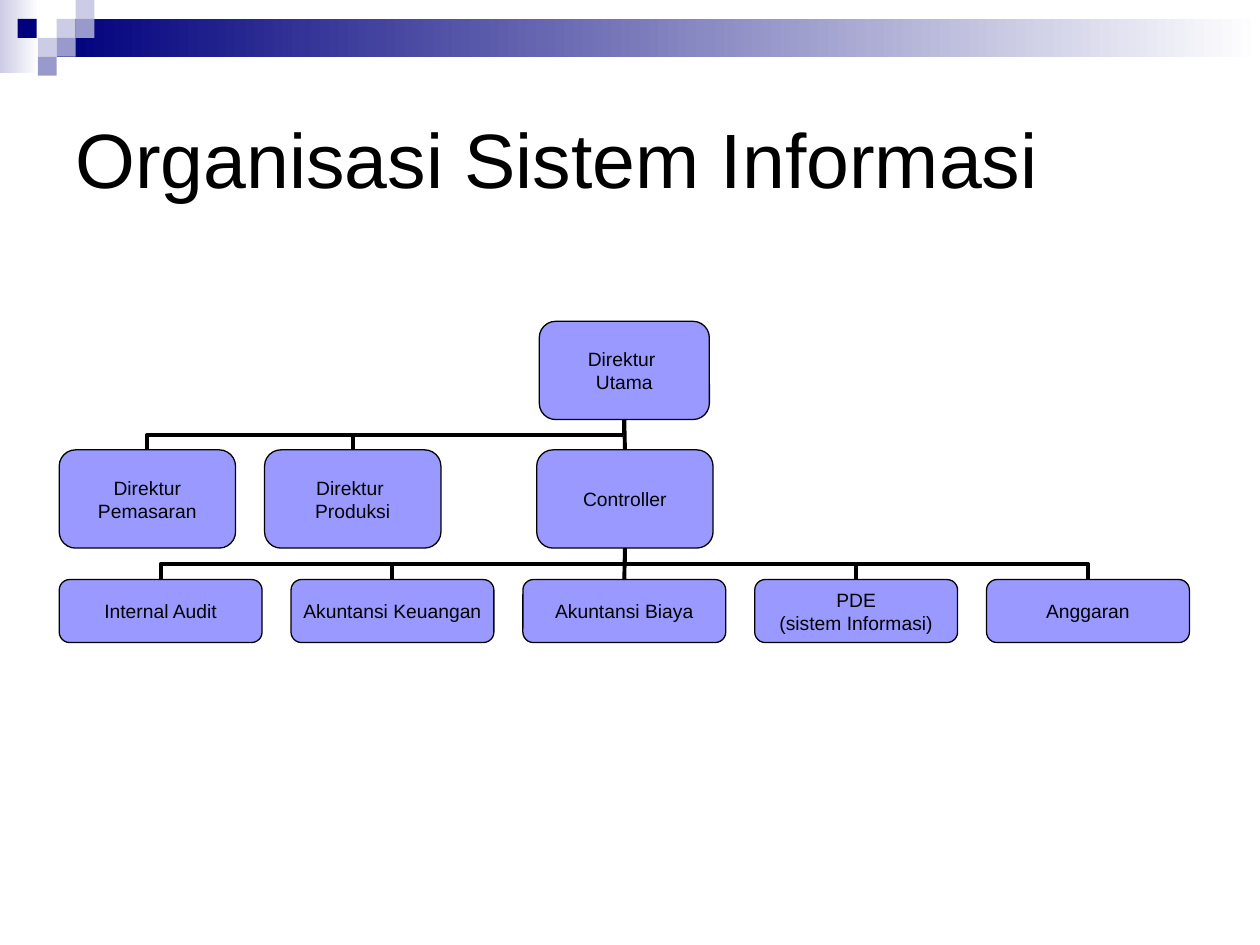
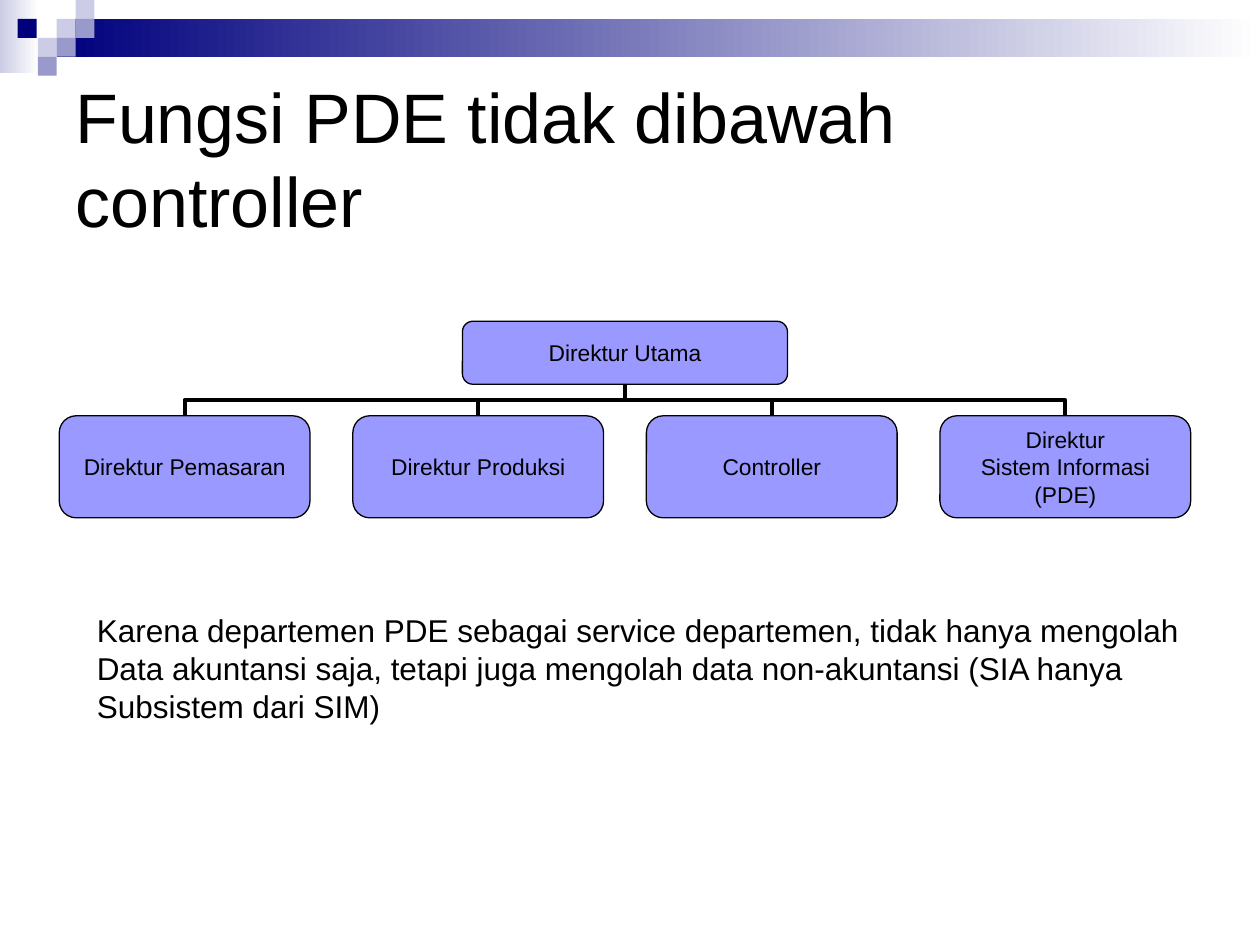
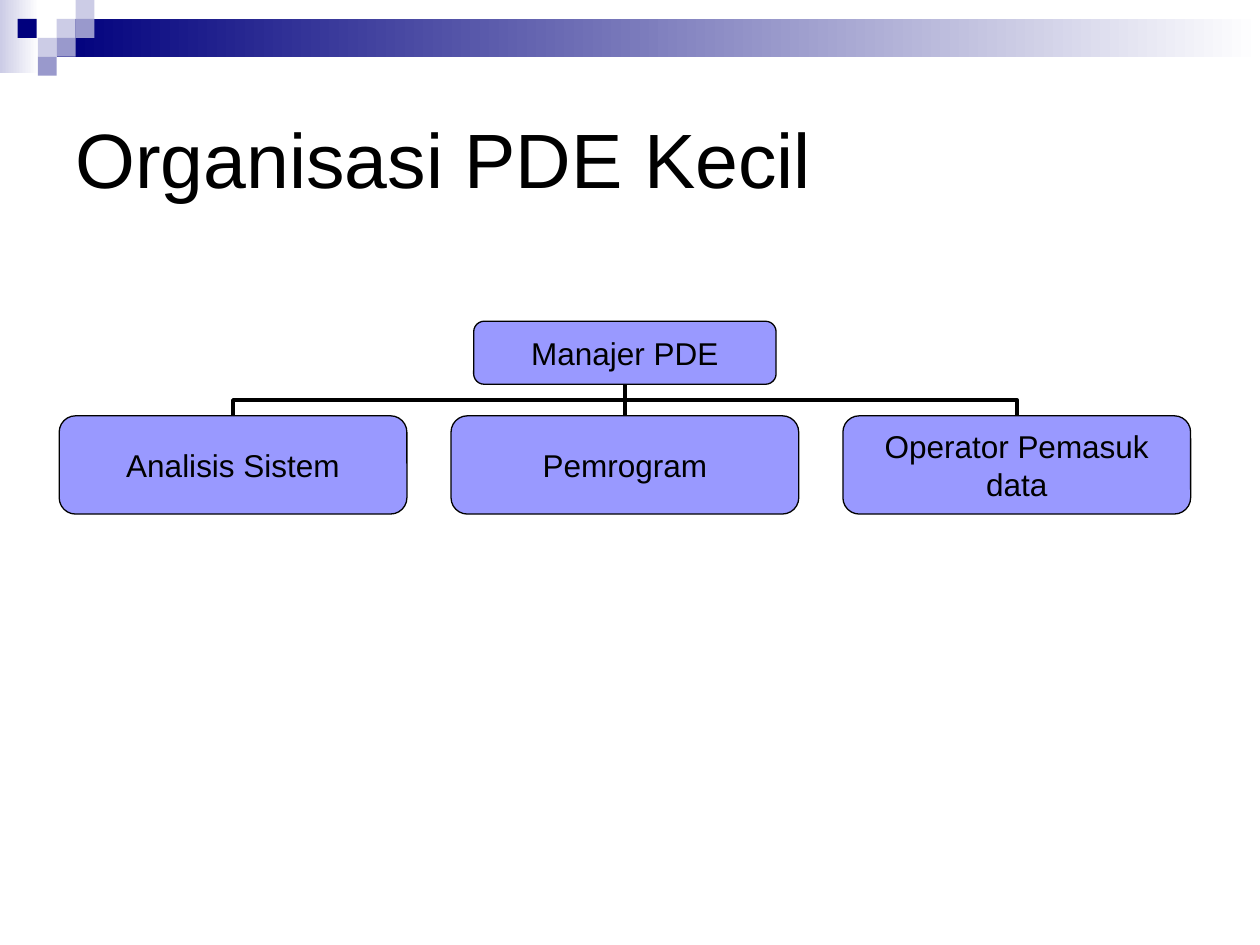
import pptx
import pptx.dml.color
import pptx.enum.shapes
import pptx.enum.text
import pptx.oxml.ns
import pptx.util
from lxml import etree

Inches = pptx.util.Inches
Shapes = pptx.enum.shapes.MSO_SHAPE
Connectors = pptx.enum.shapes.MSO_CONNECTOR
Align = pptx.enum.text.PP_ALIGN
Anchor = pptx.enum.text.MSO_ANCHOR

FONT = "Arial"
BLACK, WHITE = "000000", "FFFFFF"
NAVY, SLATE, PALE, NODE = "00007D", "9999CC", "CCCCE6", "9999FF"

FADES = [(0, 0, 0.31, 0.58, PALE), (0.45, 0.15, 9.55, 0.3, NAVY)]
SQUARE = 0.15
SQUARES = [
    (0.45, 0.15, PALE), (0.6, 0, PALE), (0.6, 0.15, SLATE),
    (0.3, 0.3, PALE), (0.14, 0.15, NAVY), (0.45, 0.3, SLATE),
    (0.3, 0.45, SLATE),
]


def spaced(left, pitch, count):
    return [left + pitch * index for index in range(count)]


CHARTS = [
    {
        "title": "Organisasi Sistem Informasi", "title_size": 44,
        "size": 11, "insets": (0.06, 0.03),
        "rows": [
            {"top": 2.55, "width": 1.35, "height": 0.78, "lefts": [4.28],
             "names": ["Direktur \nUtama"]},
            {"top": 3.57, "width": 1.4, "height": 0.78, "parent": 0,
             "lefts": [0.47, 2.1, 4.26],
             "names": ["Direktur\nPemasaran", "Direktur \nProduksi", "Controller"]},
            {"top": 4.6, "width": 1.61, "height": 0.5, "parent": 2,
             "lefts": spaced(0.47, 1.84, 5),
             "names": ["Internal Audit", "Akuntansi Keuangan", "Akuntansi Biaya",
                       "PDE\n(sistem Informasi)", "Anggaran"]},
        ],
    },
    {
        "title": "Fungsi PDE tidak dibawah controller", "title_size": 40,
        "size": 13, "insets": (0.07, 0.04),
        "rows": [
            {"top": 2.55, "width": 2.58, "height": 0.5, "lefts": [3.67],
             "names": ["Direktur Utama"]},
            {"top": 3.3, "width": 1.99, "height": 0.81, "parent": 0,
             "lefts": spaced(0.47, 2.33, 4),
             "names": ["Direktur Pemasaran", "Direktur Produksi", "Controller",
                       "Direktur\nSistem Informasi\n(PDE)"]},
        ],
        "note": "Karena departemen PDE sebagai service departemen, tidak hanya mengolah\n"
                "Data akuntansi saja, tetapi juga mengolah data non-akuntansi (SIA hanya\n"
                "Subsistem dari SIM)",
    },
    {
        "title": "Organisasi PDE Kecil", "title_size": 44,
        "size": 18, "insets": (0.1, 0.05),
        "rows": [
            {"top": 2.55, "width": 2.4, "height": 0.5, "lefts": [3.76],
             "names": ["Manajer PDE"]},
            {"top": 3.3, "width": 2.76, "height": 0.78, "parent": 0,
             "lefts": spaced(0.47, 3.11, 3),
             "names": ["Analisis Sistem", "Pemrogram", "Operator Pemasuk\ndata"]},
        ],
    },
]


def color(value):
    return pptx.dml.color.RGBColor.from_string(value)


def write(box, text, size, insets=(0.1, 0.05), align=Align.LEFT,
          anchor=Anchor.TOP, wrap=False):
    frame = box.text_frame
    frame.word_wrap = wrap
    frame.vertical_anchor = anchor
    frame.margin_left = frame.margin_right = Inches(insets[0])
    frame.margin_top = frame.margin_bottom = Inches(insets[1])
    for index, line in enumerate(text.split("\n")):
        para = frame.add_paragraph() if index else frame.paragraphs[0]
        para.alignment = align
        span = para.add_run()
        span.text = line
        span.font.name = FONT
        span.font.size = pptx.util.Pt(size)
        span.font.color.rgb = color(BLACK)


def add_box(page, kind, left, top, width, height, fill=None):
    box = page.shapes.add_shape(kind, *map(Inches, (left, top, width, height)))
    box.shadow.inherit = False
    box.line.fill.background()
    if fill:
        box.fill.solid()
        box.fill.fore_color.rgb = color(fill)
    return box


def add_header(page):
    for left, top, width, height, tint in FADES:
        band = add_box(page, Shapes.RECTANGLE, left, top, width, height)
        band.fill.gradient()
        band.fill.gradient_angle = 180
        for stop, value in zip(band.fill.gradient_stops, (WHITE, tint)):
            stop.color.rgb = color(value)
    for left, top, tint in SQUARES:
        add_box(page, Shapes.RECTANGLE, left, top, SQUARE, SQUARE, tint)


def add_text(page, left, top, width, height, text, size, **style):
    box = page.shapes.add_textbox(*map(Inches, (left, top, width, height)))
    write(box, text, size, **style)


def add_node(page, row, left, name, chart):
    node = add_box(page, Shapes.ROUNDED_RECTANGLE, left, row["top"],
                   row["width"], row["height"], NODE)
    node.line.color.rgb = color(BLACK)
    node.line.width = pptx.util.Pt(0.75)
    write(node, name, chart["size"], chart["insets"], Align.CENTER, Anchor.MIDDLE)
    return node


def link(page, child, parent):
    start_x, start_y = child.left + child.width // 2, child.top
    end_x, end_y = parent.left + parent.width // 2, parent.top + parent.height
    across, rise = start_x - end_x, start_y - end_y
    bent = abs(across) > Inches(0.02)
    kind = Connectors.ELBOW if bent else Connectors.STRAIGHT
    line = page.shapes.add_connector(kind, start_x, start_y, end_x, end_y)
    line.begin_connect(child, 0)
    line.end_connect(parent, 2)
    line.line.color.rgb = color(BLACK)
    line.line.width = pptx.util.Pt(2.25)
    properties = line._element.spPr
    etree.SubElement(properties, pptx.oxml.ns.qn("a:effectLst"))
    if bent:
        line.left = (start_x + end_x - rise) // 2
        line.top = (start_y + end_y - abs(across)) // 2
        line.width, line.height = rise, abs(across)
        frame = properties.find(pptx.oxml.ns.qn("a:xfrm"))
        frame.set("rot", "16200000" if across > 0 else "5400000")
        frame.set("flipH", "0" if across > 0 else "1")
        frame.set("flipV", "1")


def add_chart_page(deck, chart):
    page = deck.slides.add_slide(deck.slide_layouts[6])
    add_header(page)
    add_text(page, 0.5, 0.5, 9, 1.5, chart["title"], chart["title_size"],
             anchor=Anchor.MIDDLE, wrap=True)
    above = []
    for row in chart["rows"]:
        nodes = [add_node(page, row, left, name, chart)
                 for left, name in zip(row["lefts"], row["names"])]
        if above:
            for node in nodes:
                link(page, node, above[row["parent"]])
        above = nodes
    if "note" in chart:
        add_text(page, 0.67, 4.8, 8.86, 1, chart["note"], 18)


def main():
    deck = pptx.Presentation()
    deck.slide_width, deck.slide_height = Inches(10), Inches(7.5)
    for chart in CHARTS:
        add_chart_page(deck, chart)
    deck.save("out.pptx")


if __name__ == "__main__":
    main()
